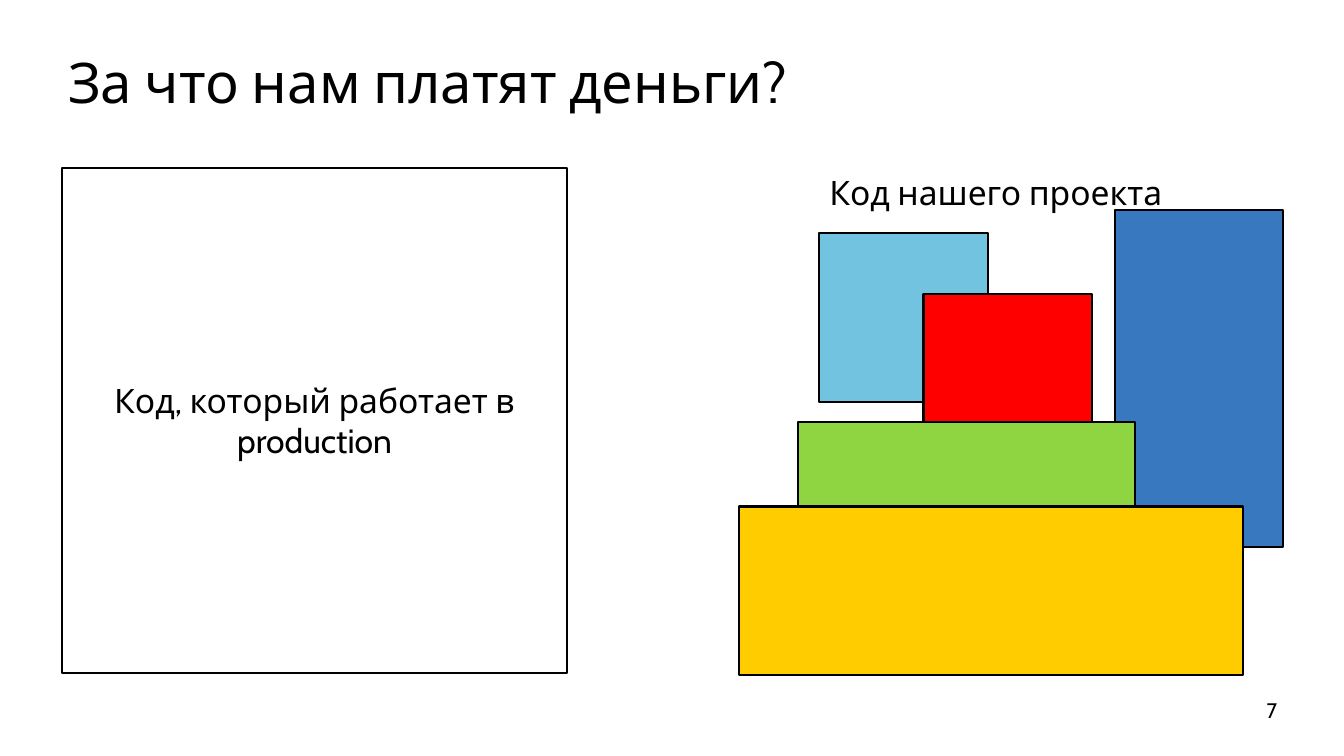
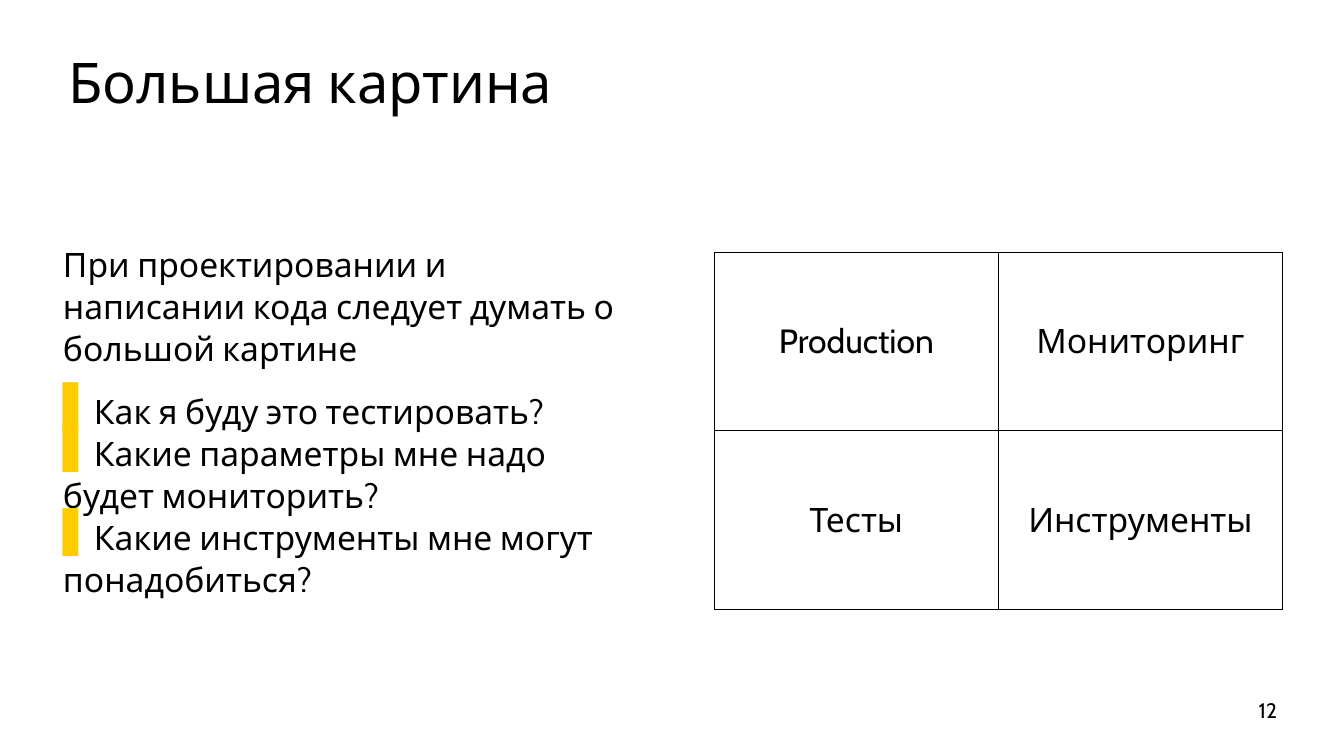
from lxml import etree
from pptx import Presentation
from pptx import util as u
from pptx.dml.color import RGBColor
from pptx.enum import shapes, text
from pptx.oxml import ns

PX = 9144
FONT = "Cabin"
BLACK = RGBColor(0x00, 0x00, 0x00)
YELLOW = RGBColor(0xFF, 0xCC, 0x00)
SKY = RGBColor(0x72, 0xC3, 0xE0)
RED = RGBColor(0xFF, 0x00, 0x00)
BLUE = RGBColor(0x38, 0x78, 0xBE)
GREEN = RGBColor(0x8F, 0xD5, 0x41)

TITLE_BOX = (125, 83, 2420, 165)
NUMBER_BOX = (2418, 1388, 125, 42)
LEFT_BODY = (125, 333, 1127, 1002)
RIGHT_BODY = (1417, 333, 1127, 1002)
LEFT, CENTER, RIGHT = text.PP_ALIGN.LEFT, text.PP_ALIGN.CENTER, text.PP_ALIGN.RIGHT
TOP, MIDDLE = text.MSO_ANCHOR.TOP, text.MSO_ANCHOR.MIDDLE


def emu(box):
    return [u.Emu(v * PX) for v in box]


def child(parent, tag, **attrs):
    return etree.SubElement(parent, ns.qn(tag), attrs)


class Deck:
    def __init__(self, width, height):
        self.prs = Presentation()
        self.prs.slide_width, self.prs.slide_height = emu((width, height))
        self.s = None

    def slide(self, title):
        self.s = self.prs.slides.add_slide(self.prs.slide_layouts[5])
        sp = self.s.shapes.title
        sp.left, sp.top, sp.width, sp.height = emu(TITLE_BOX)
        tf = self.frame(sp, TOP)
        tf.auto_size = text.MSO_AUTO_SIZE.NONE
        self.run(tf.paragraphs[0], title, 80, LEFT, 100)

    def frame(self, sp, anchor):
        tf = sp.text_frame
        tf.word_wrap = True
        tf.vertical_anchor = anchor
        return tf

    def run(self, p, words, size=48, align=CENTER, spacing=None):
        p.alignment = align
        if spacing:
            p.line_spacing = u.Pt(spacing)
        r = p.add_run()
        r.text = words
        r.font.name = FONT
        r.font.size = u.Pt(size)
        r.font.color.rgb = BLACK

    def number(self, n):
        sp = self.s.shapes.add_textbox(*emu(NUMBER_BOX))
        tf = self.frame(sp, MIDDLE)
        self.run(tf.paragraphs[0], str(n), 30, RIGHT)

    def body(self, box, lead, bullets=(), align=LEFT, anchor=TOP):
        sp = self.s.shapes.add_textbox(*emu(box))
        tf = self.frame(sp, anchor)
        tf.margin_left = 0
        p = tf.paragraphs[0]
        p.space_before = p.space_after = u.Pt(30)
        self.run(p, lead, align=align, spacing=60)
        for words in bullets:
            p = tf.add_paragraph()
            p.level = 1
            self.run(p, words, align=align, spacing=60)
            self.bullet(p)

    def bullet(self, p):
        pPr = p._p.get_or_add_pPr()
        pPr.set("marL", "0")
        pPr.set("indent", str(-79 * PX))
        child(child(pPr, "a:buClr"), "a:srgbClr", val=str(YELLOW))
        child(pPr, "a:buSzPct", val="120000")
        child(pPr, "a:buChar", char="▌")

    def rect(self, box, fill=None, rotation=0, words=None):
        sp = self.s.shapes.add_shape(shapes.MSO_SHAPE.RECTANGLE, *emu(box))
        sp.shadow.inherit = False
        sp.rotation = rotation
        sp.line.color.rgb = BLACK
        sp.line.width = u.Pt(3)
        if fill is None:
            sp.fill.background()
        else:
            sp.fill.solid()
            sp.fill.fore_color.rgb = fill
        if words:
            self.run(self.frame(sp, MIDDLE).paragraphs[0], words)

    def table(self, box, rows):
        frame = self.s.shapes.add_table(len(rows), len(rows[0]), *emu(box))
        table = frame.table
        table.first_row = table.horz_banding = False
        for i, row in enumerate(rows):
            for j, words in enumerate(row):
                cell = table.cell(i, j)
                cell.vertical_anchor = MIDDLE
                self.run(cell.text_frame.paragraphs[0], words)
                self.borders(cell)
                cell.fill.background()

    def borders(self, cell):
        tcPr = cell._tc.get_or_add_tcPr()
        for side in "LRTB":
            ln = child(tcPr, "a:ln" + side, w=str(u.Pt(1)))
            child(child(ln, "a:solidFill"), "a:srgbClr", val=str(BLACK))


def main():
    deck = Deck(2666, 1500)

    deck.slide("За что нам платят деньги?")
    deck.number(7)
    deck.body(RIGHT_BODY, "Код нашего проекта", align=CENTER)
    deck.rect((1625, 463, 334, 334), SKY)
    deck.rect((1832, 584, 334, 334), RED)
    deck.rect((2211, 416, 334, 670), BLUE)
    deck.rect((1752, 669, 331, 668), GREEN, rotation=90)
    deck.rect((1799, 672, 334, 1000), YELLOW, rotation=90)
    deck.rect((123, 333, 1002, 1002), words="Код, который работает в production")

    deck.slide("Большая картина")
    deck.body(
        LEFT_BODY,
        "При проектировании и написании кода следует думать о большой картине",
        [
            "Как я буду это тестировать?",
            "Какие параметры мне надо будет мониторить?",
            "Какие инструменты мне могут понадобиться?",
        ],
        anchor=MIDDLE,
    )
    deck.number(12)
    deck.table(
        (1417, 500, 1127, 709),
        [["Production", "Мониторинг"], ["Тесты", "Инструменты"]],
    )

    deck.prs.save("out.pptx")


if __name__ == "__main__":
    main()
